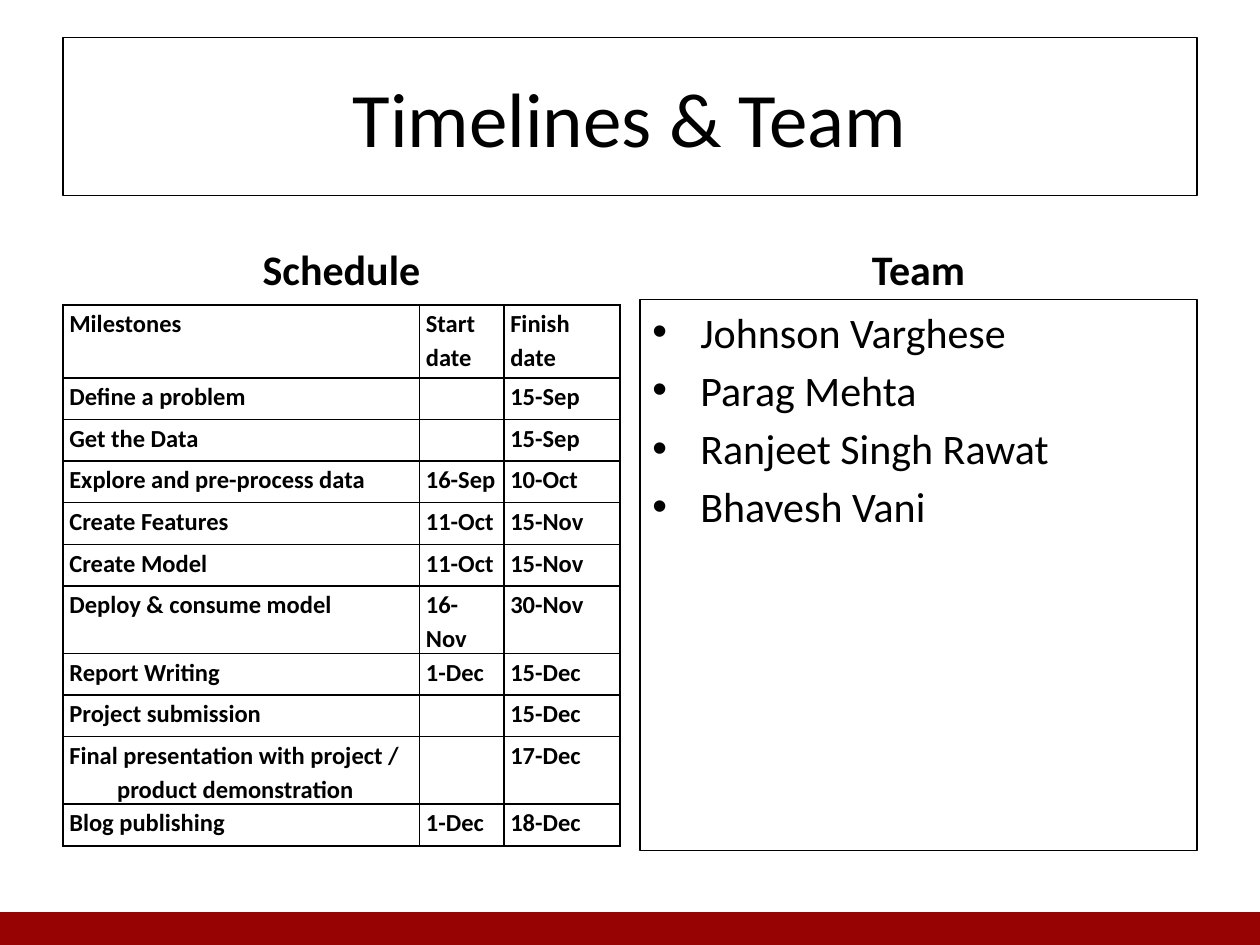
"""Build the Timelines & Team slide with a schedule table and a team list."""
from typing import NamedTuple

from lxml.etree import SubElement
from pptx import Presentation
from pptx.dml.color import RGBColor
from pptx.enum.shapes import MSO_SHAPE
from pptx.enum.text import MSO_ANCHOR, PP_ALIGN
from pptx.oxml import parse_xml
from pptx.oxml.ns import nsdecls, qn
from pptx.util import Inches, Pt

BLACK, RED = "000000", "970303"
LEFT, RIGHT, COLUMN_WIDTH = 0.5, 5.08, 4.42
INDENT = 0.38
TEAM = ["Johnson Varghese", "Parag Mehta", "Ranjeet Singh Rawat", "Bhavesh Vani"]


class Box(NamedTuple):
    left: float
    top: float
    width: float
    height: float


class Milestone(NamedTuple):
    name: str
    start: str
    finish: str


SCHEDULE = [
    Milestone("Milestones", "Start date", "Finish date"),
    Milestone("Define a problem", "", "15-Sep"),
    Milestone("Get the Data", "", "15-Sep"),
    Milestone("Explore and pre-process data", "16-Sep", "10-Oct"),
    Milestone("Create Features", "11-Oct", "15-Nov"),
    Milestone("Create Model", "11-Oct", "15-Nov"),
    Milestone("Deploy & consume model", "16-Nov", "30-Nov"),
    Milestone("Report Writing", "1-Dec", "15-Dec"),
    Milestone("Project submission", "", "15-Dec"),
    Milestone("Final presentation with project / product demonstration", "", "17-Dec"),
    Milestone("Blog publishing", "1-Dec", "18-Dec"),
]


def rgb(value: str) -> RGBColor:
    return RGBColor.from_string(value)


def inches(box: Box) -> list:
    return [Inches(v) for v in box]


def set_all(target, formats: dict) -> None:
    for name, value in formats.items():
        setattr(target, name, value)


def write(p, text: str, size: float, bold: bool = False, **formats) -> None:
    r = p.add_run()
    r.text = text
    set_all(r.font, {"name": "Calibri", "size": Pt(size), "bold": bold})
    r.font.color.rgb = rgb(BLACK)
    set_all(p, formats)


def hang(p) -> None:
    pPr = p._p.get_or_add_pPr()
    pPr.set("marL", str(Inches(INDENT)))
    pPr.set("indent", str(-Inches(INDENT)))


def outline(sp, color: str, width: float) -> None:
    sp.line.color.rgb = rgb(color)
    sp.line.width = Pt(width)


def add_rect(s, box: Box):
    sp = s.shapes.add_shape(MSO_SHAPE.RECTANGLE, *inches(box))
    sp.shadow.inherit = False
    return sp


def add_heading(s, text: str, left: float) -> None:
    tf = s.shapes.add_textbox(*inches(Box(left, 1.68, COLUMN_WIDTH, 0.7))).text_frame
    set_all(tf, {"word_wrap": True, "vertical_anchor": MSO_ANCHOR.BOTTOM})
    write(tf.paragraphs[0], text, 24, True, alignment=PP_ALIGN.CENTER, space_before=Pt(4.5))


def add_borders(cell) -> None:
    tcPr = cell._tc.get_or_add_tcPr()
    for i, side in enumerate(("lnL", "lnR", "lnT", "lnB")):
        tcPr.insert(i, parse_xml(
            f'<a:{side} {nsdecls("a")} w="{Pt(1)}"><a:solidFill>'
            f'<a:srgbClr val="{BLACK}"/></a:solidFill></a:{side}>'))


def add_schedule(s) -> None:
    box = Box(LEFT, 2.42, COLUMN_WIDTH, 3.88)
    table = s.shapes.add_table(len(SCHEDULE), 3, *inches(box)).table
    set_all(table, {"first_row": False, "horz_banding": False})
    for column, width in zip(table.columns, (2.83, 0.67, 0.92)):
        column.width = Inches(width)
    for i, (row, milestone) in enumerate(zip(table.rows, SCHEDULE)):
        row.height = Inches(0.33 if i else 0.58)
        for j, (cell, text) in enumerate(zip(row.cells, milestone)):
            set_all(cell, {"margin_left": Inches(0.05), "margin_right": Inches(0.05),
                           "margin_top": 0, "margin_bottom": 0})
            cell.fill.background()
            add_borders(cell)
            p = cell.text_frame.paragraphs[0]
            if text:
                write(p, text, 14, True, line_spacing=1.15)
            if i and j == 0:
                hang(p)


def add_team(s) -> None:
    sp = add_rect(s, Box(RIGHT, 2.38, COLUMN_WIDTH, 4.37))
    sp.fill.background()
    outline(sp, BLACK, 0.75)
    tf = sp.text_frame
    set_all(tf, {"word_wrap": True, "vertical_anchor": MSO_ANCHOR.TOP})
    for i, name in enumerate(TEAM):
        p = tf.add_paragraph() if i else tf.paragraphs[0]
        write(p, name, 24, alignment=PP_ALIGN.LEFT, space_before=Pt(4.5))
        hang(p)
        pPr = p._p.get_or_add_pPr()
        SubElement(pPr, qn("a:buFont")).set("typeface", "Arial")
        SubElement(pPr, qn("a:buChar")).set("char", "•")


def main() -> None:
    prs = Presentation()
    set_all(prs, {"slide_width": Inches(10), "slide_height": Inches(7.5)})
    s = prs.slides.add_slide(prs.slide_layouts[5])

    bar = add_rect(s, Box(0, 7.25, 10, 0.25))
    bar.fill.solid()
    bar.fill.fore_color.rgb = rgb(RED)
    outline(bar, RED, 2)

    title = s.shapes.title
    set_all(title, dict(zip(Box._fields, inches(Box(0.5, 0.3, 9, 1.25)))))
    outline(title, BLACK, 0.75)
    tf = title.text_frame
    tf.vertical_anchor = MSO_ANCHOR.MIDDLE
    write(tf.paragraphs[0], "Timelines & Team", 44, alignment=PP_ALIGN.CENTER)

    add_heading(s, "Schedule", LEFT)
    add_schedule(s)
    add_heading(s, "Team", RIGHT)
    add_team(s)
    prs.save("out.pptx")


if __name__ == "__main__":
    main()
